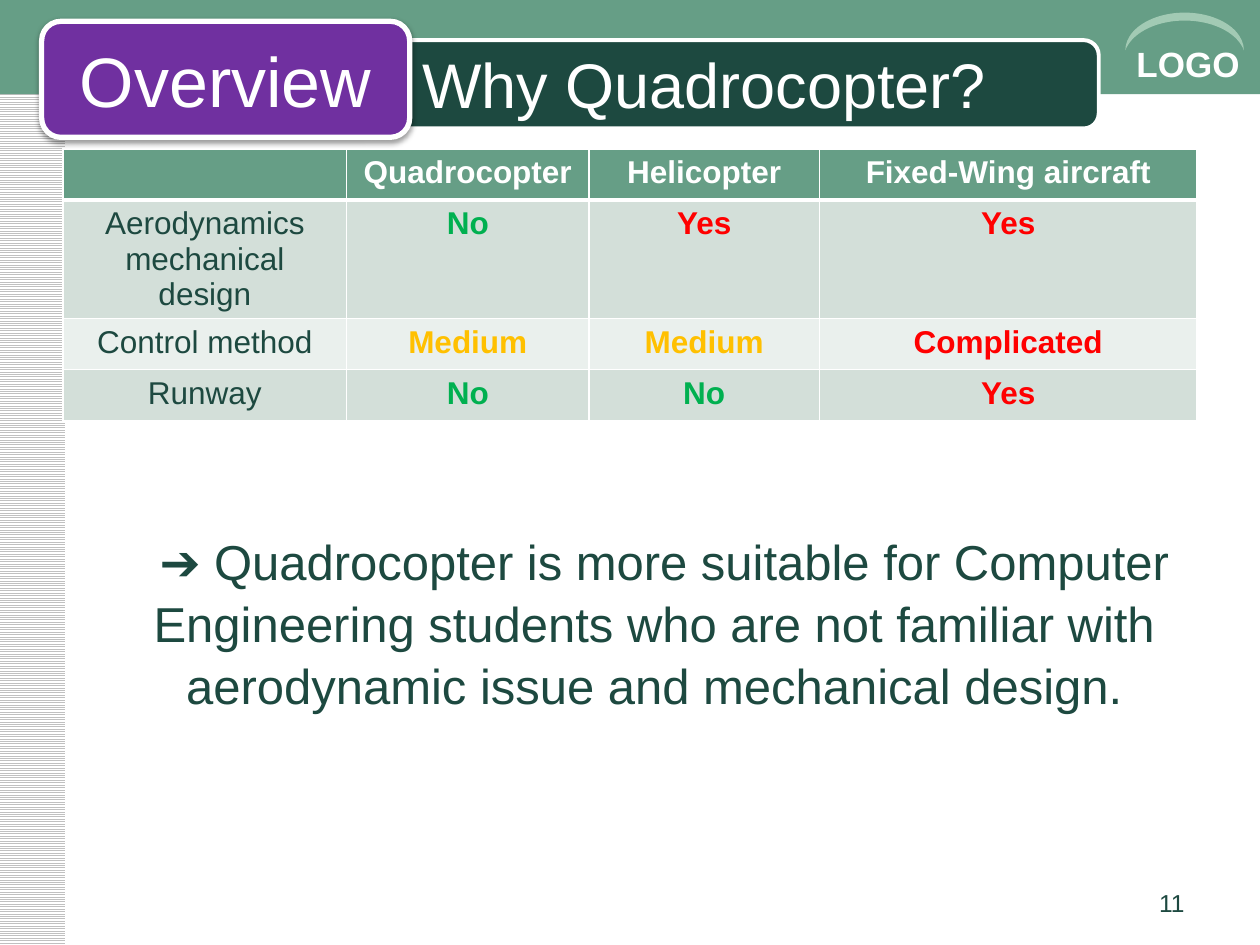
"""Build the slide that compares a quadrocopter with other aircraft."""
from dataclasses import dataclass
from typing import Optional

from lxml import etree
from pptx import Presentation
from pptx import util as u
from pptx.dml.color import RGBColor
from pptx.enum import dml, shapes, text
from pptx.oxml import parse_xml
from pptx.oxml.ns import nsdecls, qn

HUES = {
    "white": "FFFFFF", "gray": "C0C0C0", "green": "669E86", "dark": "1D4940",
    "pale": "A2CAB4", "purple": "7030A0", "odd": "D3DFD9", "even": "EAF0ED",
    "good": "00B050", "fair": "FFC000", "bad": "FF0000",
}
KIND = shapes.MSO_SHAPE
SIDE = text.PP_ALIGN
MID = text.MSO_ANCHOR.MIDDLE


@dataclass
class Box:
    left: float
    top: float
    wide: float
    high: float

    def cm(self) -> list:
        """Return the four lengths in slide units."""
        return [u.Cm(n) for n in (self.left, self.top, self.wide, self.high)]


@dataclass
class Form:
    kind: int
    box: Box
    fill: str
    edge: float = 0
    bend: Optional[float] = None
    turn: float = 0


@dataclass
class Note:
    words: str
    box: Box
    size: float
    hue: str
    bold: bool = False
    side: int = SIDE.LEFT


def tint(name: str) -> RGBColor:
    """Look up a colour by name."""
    return RGBColor.from_string(HUES[name])


def write(para, words: str, size: float, hue: str, bold=False, side=SIDE.LEFT) -> None:
    """Add one formatted run to a paragraph."""
    para.alignment = side
    run = para.add_run()
    run.text = words
    font = run.font
    font.name, font.size, font.bold = "Arial", u.Pt(size), bold
    font.color.rgb = tint(hue)


def draw(page, form: Form):
    """Draw a filled preset shape."""
    shape = page.shapes.add_shape(form.kind, *form.box.cm())
    shape.shadow.inherit = False
    shape.rotation = form.turn
    if form.bend is not None:
        shape.adjustments[0] = form.bend
    shape.fill.solid()
    shape.fill.fore_color.rgb = tint(form.fill)
    if form.edge:
        shape.line.color.rgb = tint("white")
        shape.line.width = u.Pt(form.edge)
    else:
        shape.line.fill.background()
    return shape


def label(page, note: Note):
    """Add a wrapped text box with one paragraph."""
    frame = page.shapes.add_textbox(*note.box.cm()).text_frame
    frame.word_wrap = True
    write(frame.paragraphs[0], note.words, note.size, note.hue, note.bold, note.side)
    return frame


def border(cell, row: int) -> None:
    """Give a cell white borders, heavy below the header."""
    props = cell._tc.get_or_add_tcPr()
    widths = {"L": 1, "R": 1, "T": 3 if row == 1 else 1, "B": 3 if row == 0 else 1}
    for edge, width in widths.items():
        line = etree.SubElement(props, qn(f"a:ln{edge}"), w=str(u.Pt(width)))
        fill = etree.SubElement(line, qn("a:solidFill"))
        etree.SubElement(fill, qn("a:srgbClr"), val=HUES["white"])


def chart(page) -> None:
    """Add the comparison table."""
    rows = [
        ("", "Quadrocopter", "Helicopter", "Fixed-Wing aircraft"),
        ("Aerodynamics mechanical design", "No", "Yes", "Yes"),
        ("Control method", "Medium", "Medium", "Complicated"),
        ("Runway", "No", "No", "Yes"),
    ]
    wides = (5.72, 4.88, 4.65, 7.61)
    highs = (1.03, 2.39, 1.03, 1.03)
    marks = {"No": "good", "Medium": "fair", "Yes": "bad", "Complicated": "bad"}
    box = Box(1.27, 3, sum(wides), sum(highs))
    table = page.shapes.add_table(len(rows), len(wides), *box.cm()).table
    for col, wide in zip(table.columns, wides):
        col.width = u.Cm(wide)
    for i, (row, high) in enumerate(zip(rows, highs)):
        table.rows[i].height = u.Cm(high)
        back = "green" if i == 0 else "odd" if i % 2 else "even"
        for j, words in enumerate(row):
            cell = table.cell(i, j)
            border(cell, i)
            cell.fill.solid()
            cell.fill.fore_color.rgb = tint(back)
            if words:
                hue = "white" if i == 0 else marks.get(words, "dark")
                para = cell.text_frame.paragraphs[0]
                write(para, words, 18, hue, i == 0 or j > 0, SIDE.CENTER)


def head(page) -> None:
    """Place the title above the dark bar."""
    title = page.shapes.title
    page.shapes._spTree.append(title._element)
    title.left, title.top, title.width, title.height = Box(8.26, 0.89, 13.54, 1.57).cm()
    title.text_frame.vertical_anchor = MID
    write(title.text_frame.paragraphs[0], "Why Quadrocopter?", 36, "white")


def back(page) -> None:
    """Draw the striped side, the top band and the corner mark."""
    side = draw(page, Form(KIND.RECTANGLE, Box(-0.03, 0, 1.35, 19.05), "white"))
    side.fill.patterned()
    side.fill.pattern = dml.MSO_PATTERN.LIGHT_HORIZONTAL
    side.fill.fore_color.rgb = tint("gray")
    side.fill.back_color.rgb = tint("white")
    draw(page, Form(KIND.RECTANGLE, Box(0, 0, 25.43, 1.9), "green"))
    draw(page, Form(KIND.ROUNDED_RECTANGLE, Box(0.84, 0.81, 21.31, 1.78), "dark", 2.25, 0.17))
    label(page, Note("LOGO", Box(22.66, 0.74, 2.74, 1.09), 20, "white", True))
    draw(page, Form(KIND.MOON, Box(23.5, -0.56, 0.76, 2.39), "pale", bend=0.21, turn=90))


def claim(page) -> None:
    """Add the conclusion below the table."""
    words = ("➔ Quadrocopter is more suitable for Computer Engineering students "
             "who are not familiar with aerodynamic issue and mechanical design.")
    frame = label(page, Note(words, Box(1.27, 9.09, 22.86, 8.46), 28, "dark", side=SIDE.CENTER))
    frame.margin_top = u.Cm(1.57)
    para = frame.paragraphs[0]
    para.line_spacing = 1.05
    props = para._p.get_or_add_pPr()
    props.set("marL", str(u.Cm(0.97)))
    props.set("indent", str(u.Cm(0.41)))


def badge(page) -> None:
    """Draw the purple section badge with its soft shadow."""
    form = Form(KIND.ROUNDED_RECTANGLE, Box(0.84, 0.43, 7.42, 2.34), "purple", 3)
    shape = draw(page, form)
    shape.text_frame.vertical_anchor = MID
    write(shape.text_frame.paragraphs[0], "Overview", 40, "white", side=SIDE.CENTER)
    shade = parse_xml(
        f'<a:outerShdw {nsdecls("a")} blurRad="{u.Pt(3.1)}" dist="{u.Pt(1.6)}" '
        'dir="5400000" rotWithShape="0"><a:srgbClr val="000000">'
        '<a:alpha val="38000"/></a:srgbClr></a:outerShdw>')
    shape._element.spPr.find(qn("a:effectLst")).append(shade)


def main() -> None:
    """Build and save the deck."""
    deck = Presentation()
    deck.slide_width, deck.slide_height = u.Cm(25.4), u.Cm(19.05)
    page = deck.slides.add_slide(deck.slide_layouts[5])
    back(page)
    head(page)
    chart(page)
    label(page, Note("11", Box(18.21, 17.78, 5.92, 0.89), 14, "dark", side=SIDE.RIGHT))
    claim(page)
    badge(page)
    deck.save("out.pptx")


if __name__ == "__main__":
    main()
